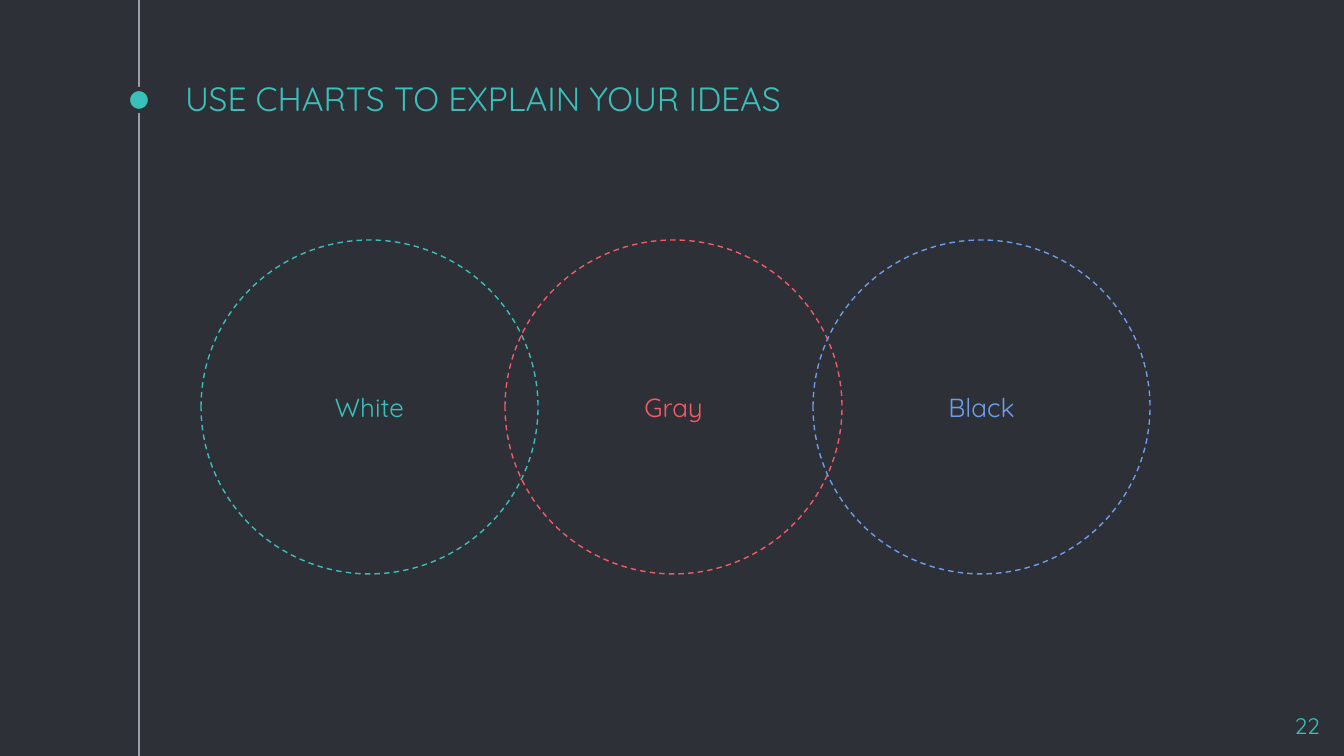
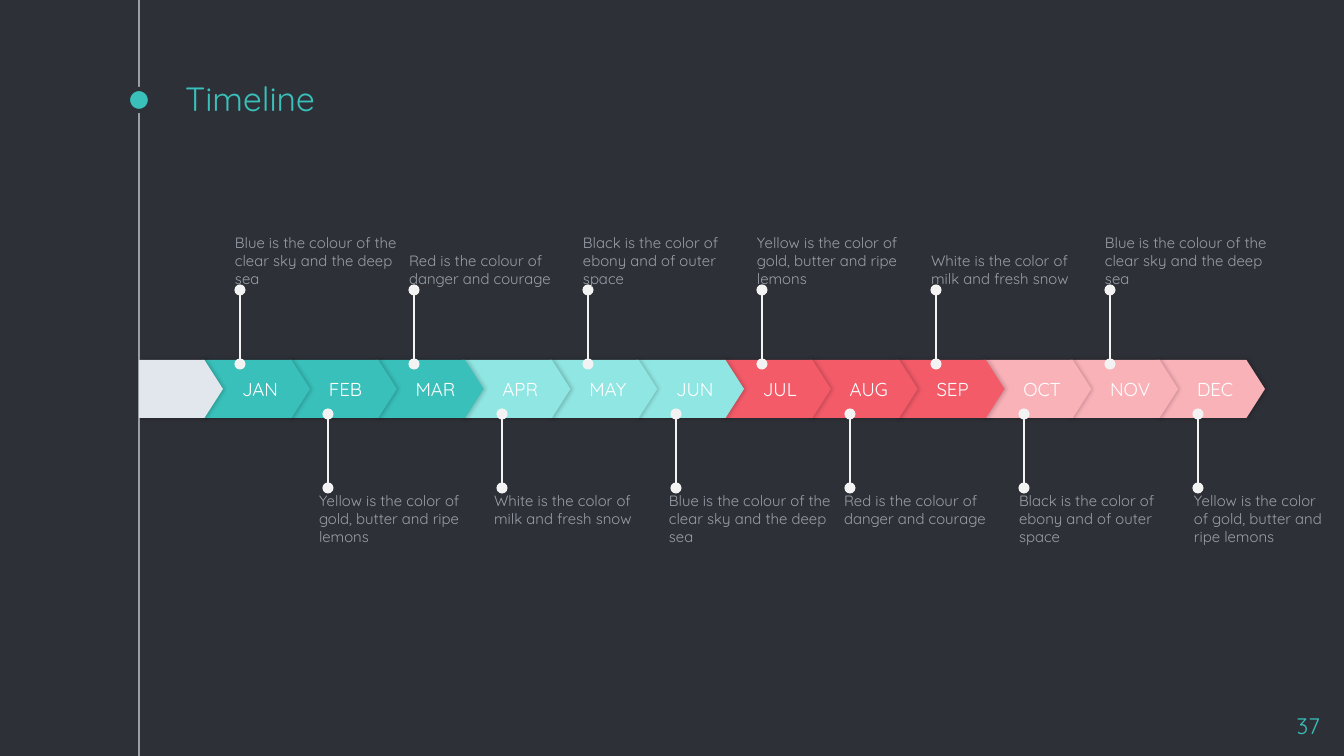
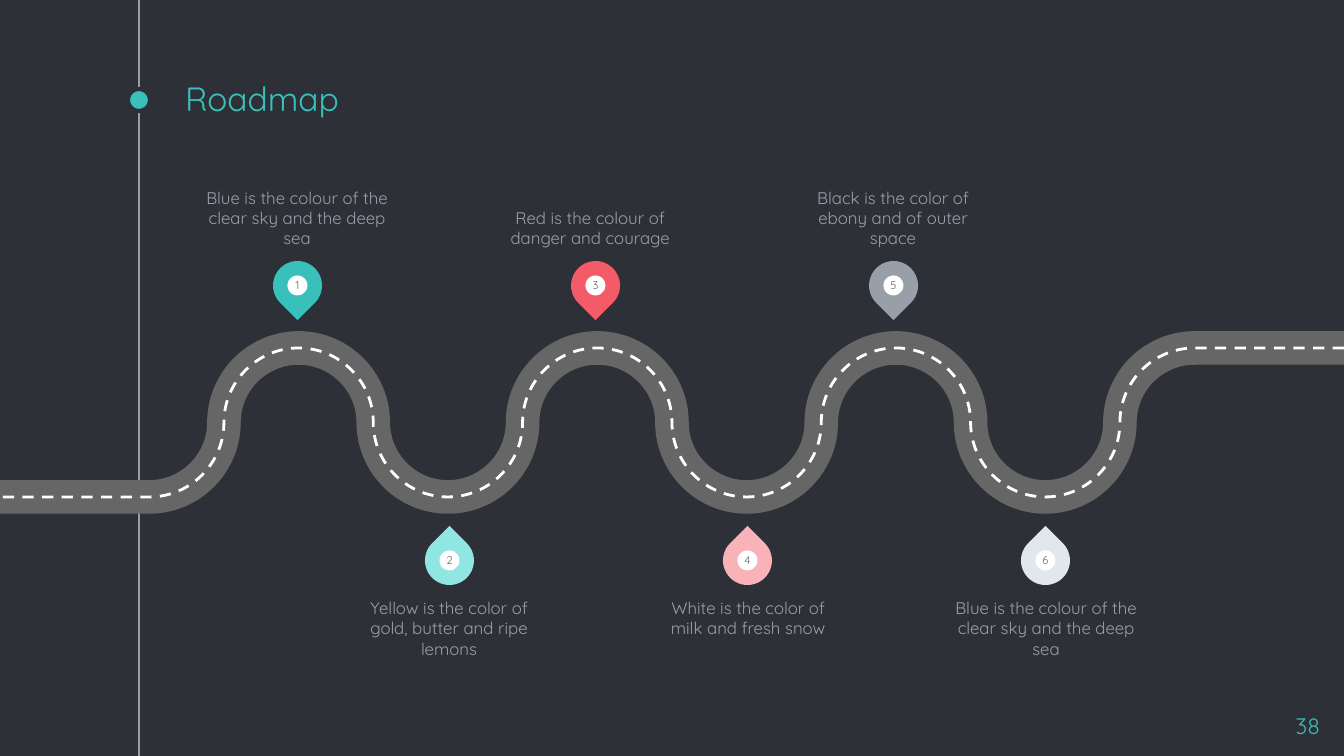
from dataclasses import dataclass

from lxml.etree import SubElement
from pptx import Presentation
from pptx.dml.color import RGBColor
from pptx.enum.dml import MSO_LINE
from pptx.enum.shapes import MSO_CONNECTOR, MSO_SHAPE
from pptx.enum.text import MSO_ANCHOR as ANCHOR, MSO_AUTO_SIZE, PP_ALIGN as ALIGN
from pptx.oxml.ns import qn
from pptx.util import Emu, Pt

SCALE = 914400 / 134.4


@dataclass(frozen=True)
class Theme:
    font: str = "Quicksand"
    back: str = "2E3037"
    teal: str = "39C0BA"
    mint: str = "90E6E2"
    red: str = "F35B69"
    pink: str = "FAB2B9"
    blue: str = "6D9EEB"
    gray: str = "999FA9"
    mist: str = "E2E7EE"
    pin: str = "F3F3F3"
    road: str = "666666"
    white: str = "FFFFFF"
    title: int = 18
    label: int = 14
    number: int = 12
    month: int = 10
    road_note: int = 9
    time_note: int = 8
    marker: int = 6
    thin: float = 0.75


@dataclass(frozen=True)
class Box:
    x: float
    y: float
    w: float
    h: float

    def emu(self):
        return [px(v) for v in (self.x, self.y, self.w, self.h)]


T = Theme()
PAGE = Box(0, 0, 1344, 756)
INSET = 13
ARC = 0.55

BLUE_NOTE = "Blue is the colour of the clear sky and the deep sea"
RED_NOTE = "Red is the colour of danger and courage"
BLACK_NOTE = "Black is the color of ebony and of outer space"
YELLOW_NOTE = "Yellow is the color of gold, butter and ripe lemons"
WHITE_NOTE = "White is the color of milk and fresh snow"


def px(value):
    return Emu(round(value * SCALE))


def rgb(color):
    return RGBColor.from_string(color)


def write(sp, text, size, color, align=ALIGN.LEFT, anchor=ANCHOR.TOP, inset=0, left=None):
    tf = sp.text_frame
    tf.word_wrap = True
    tf.auto_size = MSO_AUTO_SIZE.NONE
    tf.vertical_anchor = anchor
    tf.margin_left = px(inset if left is None else left)
    tf.margin_top = tf.margin_right = tf.margin_bottom = px(inset)
    p = tf.paragraphs[0]
    p.text = text
    p.alignment = align
    p.font.name = T.font
    p.font.size = Pt(size)
    p.font.color.rgb = rgb(color)


def style(sp, fill=None, line=None, width=T.thin, dash=None):
    sp.shadow.inherit = False
    if fill:
        sp.fill.solid()
        sp.fill.fore_color.rgb = rgb(fill)
    else:
        sp.fill.background()
    if line:
        sp.line.color.rgb = rgb(line)
        sp.line.width = Pt(width)
        sp.line.dash_style = dash
    else:
        sp.line.fill.background()
    return sp


def shape(shapes, kind, box, **look):
    return style(shapes.add_shape(kind, *box.emu()), **look)


def note(shapes, box, text, size, **layout):
    write(shapes.add_textbox(*box.emu()), text, size, T.gray, **layout)


def line(shapes, x, y1, y2, color, dots=False):
    cxn = shapes.add_connector(MSO_CONNECTOR.STRAIGHT, px(x), px(y1), px(x), px(y2))
    cxn.line.color.rgb = rgb(color)
    cxn.line.width = Pt(T.thin)
    if dots:
        ln = cxn.line._get_or_add_ln()
        for end in ("a:headEnd", "a:tailEnd"):
            SubElement(ln, qn(end), type="oval")
    SubElement(cxn.element.spPr, qn("a:effectLst"))
    return cxn


def soft_shadow(sp):
    effects = sp.element.spPr.find(qn("a:effectLst"))
    outer = SubElement(effects, qn("a:outerShdw"), blurRad=str(Pt(2.2)),
                       dist=str(Pt(0.8)), dir="0", algn="bl", rotWithShape="0")
    color = SubElement(outer, qn("a:srgbClr"), val="000000")
    SubElement(color, qn("a:alpha"), val="20000")


def rail(slide, master, box):
    x = box.x + box.w / 2
    parts = [
        line(slide.shapes, x, box.y, box.y + box.h, T.gray),
        shape(slide.shapes, MSO_SHAPE.OVAL, Box(box.x, box.y + 89, box.w, box.w),
              fill=T.teal, line=T.back, width=2.25),
    ]
    for i, sp in enumerate(parts):
        sp.element.xpath("./*/p:cNvPr")[0].set("id", str(20 + i))
        master.shapes.element.append(sp.element)


def base_slide(prs, layout, title, number):
    slide = prs.slides.add_slide(layout)
    head = slide.shapes.title
    head.left, head.top, head.width, head.height = Box(171, 80, 1008, 51).emu()
    write(head, title, T.title, T.teal, anchor=ANCHOR.BOTTOM, inset=INSET, left=14)
    sp = slide.shapes.add_textbox(*Box(1253, 699, 80, 46).emu())
    write(sp, number, T.number, T.teal, align=ALIGN.RIGHT, inset=INSET)
    return slide


def circles(slide, box):
    items = [("Gray", T.red, 304), ("White", T.teal, 0), ("Black", T.blue, 612)]
    for text, color, dx in items:
        sp = shape(slide.shapes, MSO_SHAPE.OVAL, Box(box.x + dx, box.y, 337, box.h),
                   line=color, dash=MSO_LINE.DASH)
        write(sp, text, T.label, color, ALIGN.CENTER, ANCHOR.MIDDLE, INSET)


def month_band(slide, box):
    def arrow(x, w, fill):
        sp = shape(slide.shapes, MSO_SHAPE.PENTAGON, Box(x, box.y, w, box.h), fill=fill)
        sp.adjustments[0] = 0.32
        soft_shadow(sp)
        return sp

    months = "JAN FEB MAR APR MAY JUN JUL AUG SEP OCT NOV DEC".split()
    quarters = (T.teal, T.mint, T.red, T.pink)
    step = 955 / 11
    for i, month in reversed(list(enumerate(months))):
        sp = arrow(box.x + 63 + i * step, 108, quarters[i // 3])
        write(sp, month, T.month, T.white, anchor=ANCHOR.MIDDLE, left=40)
    arrow(box.x, 84, T.mist)


def time_notes(slide, box, texts, pin_x, pin_y, note_step, anchor):
    for i, text in enumerate(texts):
        line(slide.shapes, pin_x + i * 174, pin_y + 74, pin_y, T.pin, dots=True)
        x = box.x + i * note_step
        w = min(164, box.x + box.w - x)
        note(slide.shapes, Box(x, box.y, w, box.h), text, T.time_note, anchor=anchor)


def timeline(slide, box):
    month_band(slide, Box(box.x, box.y + 150, box.w, 58))
    upper = [BLUE_NOTE, RED_NOTE, BLACK_NOTE, YELLOW_NOTE, WHITE_NOTE, BLUE_NOTE]
    lower = [YELLOW_NOTE, WHITE_NOTE, BLUE_NOTE, RED_NOTE, BLACK_NOTE, YELLOW_NOTE]
    time_notes(slide, Box(box.x + 96, box.y, box.w - 96, 77), upper,
               box.x + 101, box.y + 80, 174, ANCHOR.BOTTOM)
    time_notes(slide, Box(box.x + 180, box.y + 282, box.w - 180, 78), lower,
               box.x + 189, box.y + 204, 175, ANCHOR.TOP)


def round_bends(sp):
    outline = sp.element.spPr.find(".//" + qn("a:path"))
    steps = list(outline)
    ends = [[int(step[0].get(axis)) for axis in "xy"] for step in steps if len(step)]
    for i in range(2, len(ends) - 1):
        (x0, y0), (x1, y1) = ends[i - 1], ends[i]
        dx, dy = ARC * (x1 - x0), ARC * (y1 - y0)
        if i % 2 == 0:
            controls = [(x0 + dx, y0), (x1, y1 - dy)]
        else:
            controls = [(x0, y0 + dy), (x1 - dx, y1)]
        curve = SubElement(outline, qn("a:cubicBezTo"))
        for x, y in controls + [(x1, y1)]:
            SubElement(curve, qn("a:pt"), x=str(round(x)), y=str(round(y)))
        outline.replace(steps[i], curve)


def road(slide, box):
    half = box.w / 18
    heights = (box.y, box.y + box.h / 2, box.y + box.h, box.y + box.h / 2)
    points = [(box.x + box.w, box.y)]
    points += [(box.x + (16 - k) * half, heights[k % 4]) for k in range(15)]
    points.append((box.x, box.y + box.h))
    vertices = [(px(x), px(y)) for x, y in points]
    for color, width, dash in ((T.road, 18, None), (T.white, 1.5, MSO_LINE.DASH)):
        builder = slide.shapes.build_freeform(*vertices[0])
        builder.add_line_segments(vertices[1:], close=False)
        sp = style(builder.convert_to_shape(), line=color, width=width, dash=dash)
        round_bends(sp)


def marker(slide, box, number, color, rotation):
    group = slide.shapes.add_group_shape().shapes
    drop = shape(group, MSO_SHAPE.TEAR, box, fill=color)
    drop.rotation = rotation
    pad = (box.w - 20) / 2
    dot = shape(group, MSO_SHAPE.OVAL, Box(box.x + pad, box.y + pad, 20, 20), fill=T.white)
    write(dot, number, T.marker, T.road, ALIGN.CENTER, ANCHOR.MIDDLE)


def roadmap(slide, box):
    road(slide, Box(box.x, box.y + 179, box.w, 149))
    upper = [("1", T.teal, 0, 203, BLUE_NOTE), ("3", T.red, 1, 496, RED_NOTE),
             ("5", T.gray, 2, 799, BLACK_NOTE)]
    lower = [("6", T.mist, 2, 952, BLUE_NOTE), ("4", T.pink, 1, 654, WHITE_NOTE),
             ("2", T.mint, 0, 355, YELLOW_NOTE)]
    rows = [(upper, 273, 92, 135, 1, ANCHOR.BOTTOM),
            (lower, 425, 367, 315, 429, ANCHOR.TOP)]
    for items, left, drop_y, rotation, *_ in rows:
        for number, color, column, *_ in items:
            marker(slide, Box(box.x + left + column * 298, box.y + drop_y, 49, 49),
                   number, color, rotation)
    for items, *_, note_y, anchor in rows:
        for *_, note_x, text in sorted(items, key=lambda item: item[2]):
            note(slide.shapes, Box(box.x + note_x, box.y + note_y, 188, 78), text,
                 T.road_note, align=ALIGN.CENTER, anchor=anchor)


def main():
    prs = Presentation()
    prs.slide_width, prs.slide_height = px(PAGE.w), px(PAGE.h)
    master = prs.slide_master
    back = master.background.fill
    back.solid()
    back.fore_color.rgb = rgb(T.back)
    layout = prs.slide_layouts[5]

    slide = base_slide(prs, layout, "USE CHARTS TO EXPLAIN YOUR IDEAS", "22")
    rail(slide, master, Box(128, 0, 22, PAGE.h))
    circles(slide, Box(201, 240, 949, 334))

    slide = base_slide(prs, layout, "Timeline", "37")
    timeline(slide, Box(139, 210, 1190, 360))

    slide = base_slide(prs, layout, "Roadmap", "38")
    roadmap(slide, Box(0, 169, PAGE.w, 506))

    prs.save("out.pptx")


main()
